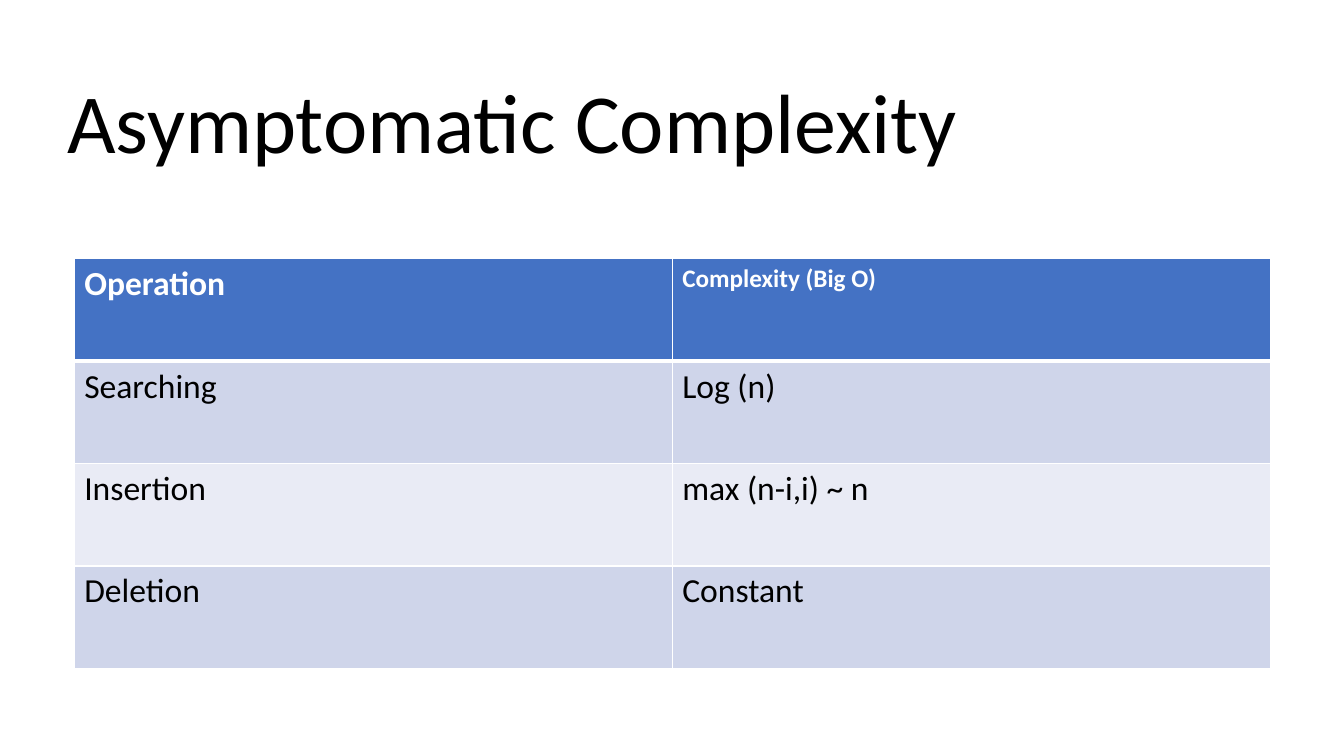
from lxml import etree
from pptx import Presentation
from pptx.dml.color import RGBColor
from pptx.enum.text import MSO_ANCHOR, MSO_AUTO_SIZE, PP_ALIGN
from pptx.oxml.ns import qn
from pptx.util import Cm, Pt

BOTTOM, NO_FIT, CENTER = MSO_ANCHOR.BOTTOM, MSO_AUTO_SIZE.NONE, PP_ALIGN.CENTER
WHITE = RGBColor(0xFF, 0xFF, 0xFF)
BLACK = RGBColor(0x00, 0x00, 0x00)
BLUE = RGBColor(0x44, 0x72, 0xC4)
BANDS = [RGBColor(0xCF, 0xD5, 0xEA), RGBColor(0xE9, 0xEB, 0xF5)]

TITLE_ONLY = 5
ROWS = [
    ("Operation", "Complexity (Big O)"),
    ("Searching", "Log (n)"),
    ("Insertion", "max (n-i,i) ~ n"),
    ("Deletion", "Constant"),
]
HEADER_SIZES = (24, 18)


class SlideBuilder:
    """Hold the slide style and add the title and table to the current slide."""

    font = "Calibri"

    def __init__(self, prs):
        self.s = prs.slides.add_slide(prs.slide_layouts[TITLE_ONLY])

    def add_text(self, p, text, size, color, bold=False):
        r = p.add_run()
        r.text = text
        r.font.color.rgb = color
        for name, value in {"name": self.font, "size": Pt(size), "bold": bold}.items():
            setattr(r.font, name, value)

    def title(self, text, left, top, width, height):
        sp = self.s.shapes.title
        box = {"left": left, "top": top, "width": width, "height": height}
        for name, value in box.items():
            setattr(sp, name, Cm(value))
        tf = sp.text_frame
        frame = {"vertical_anchor": BOTTOM, "auto_size": NO_FIT, "word_wrap": True}
        for name, value in frame.items():
            setattr(tf, name, value)
        p = tf.paragraphs[0]
        for name, value in {"alignment": CENTER, "line_spacing": 0.9}.items():
            setattr(p, name, value)
        self.add_text(p, text, 60, BLACK)

    def borders(self, cell, widths):
        tcPr = cell._tc.get_or_add_tcPr()
        for side, width in widths.items():
            ln = etree.SubElement(tcPr, qn(f"a:ln{side}"), w=str(Pt(width)))
            fill = etree.SubElement(ln, qn("a:solidFill"))
            etree.SubElement(fill, qn("a:srgbClr"), val=str(WHITE))

    def table(self, rows, left, top, width, height):
        frame = self.s.shapes.add_table(
            len(rows), len(rows[0]), Cm(left), Cm(top), Cm(width), Cm(height))
        for i, row in enumerate(rows):
            header = i == 0
            for j, text in enumerate(row):
                cell = frame.table.cell(i, j)
                self.borders(cell, {"L": 1, "R": 1, "T": 3 if i == 1 else 1,
                                    "B": 3 if header else 1})
                cell.fill.solid()
                cell.fill.fore_color.rgb = BLUE if header else BANDS[(i - 1) % 2]
                self.add_text(cell.text_frame.paragraphs[0], text,
                              HEADER_SIZES[j] if header else 24,
                              WHITE if header else BLACK, header)


def main():
    prs = Presentation()
    prs.slide_width, prs.slide_height = Cm(33.87), Cm(19.05)
    slide = SlideBuilder(prs)
    slide.title("Asymptomatic Complexity ", 0.7, 0.8, 24.9, 3.65)
    slide.table(ROWS, 1.87, 6.52, 30.14, 10.32)
    prs.save("out.pptx")


if __name__ == "__main__":
    main()
